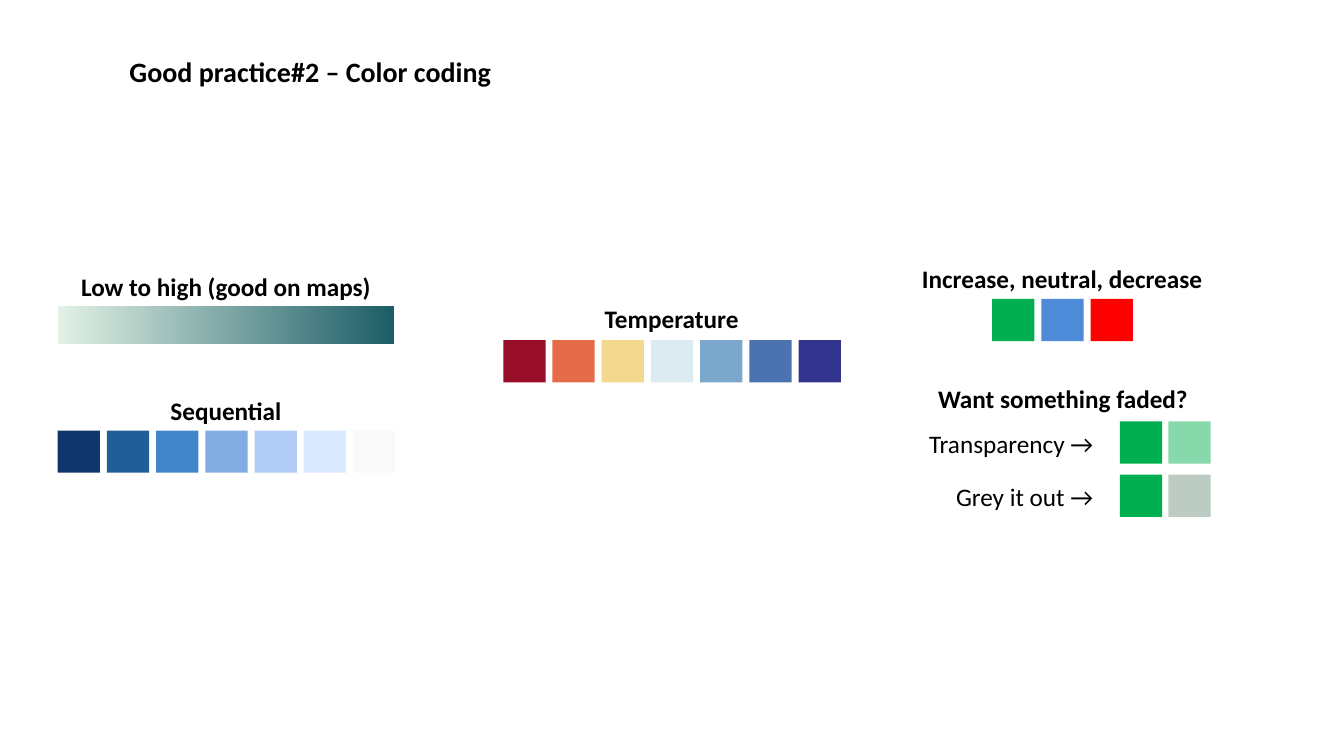
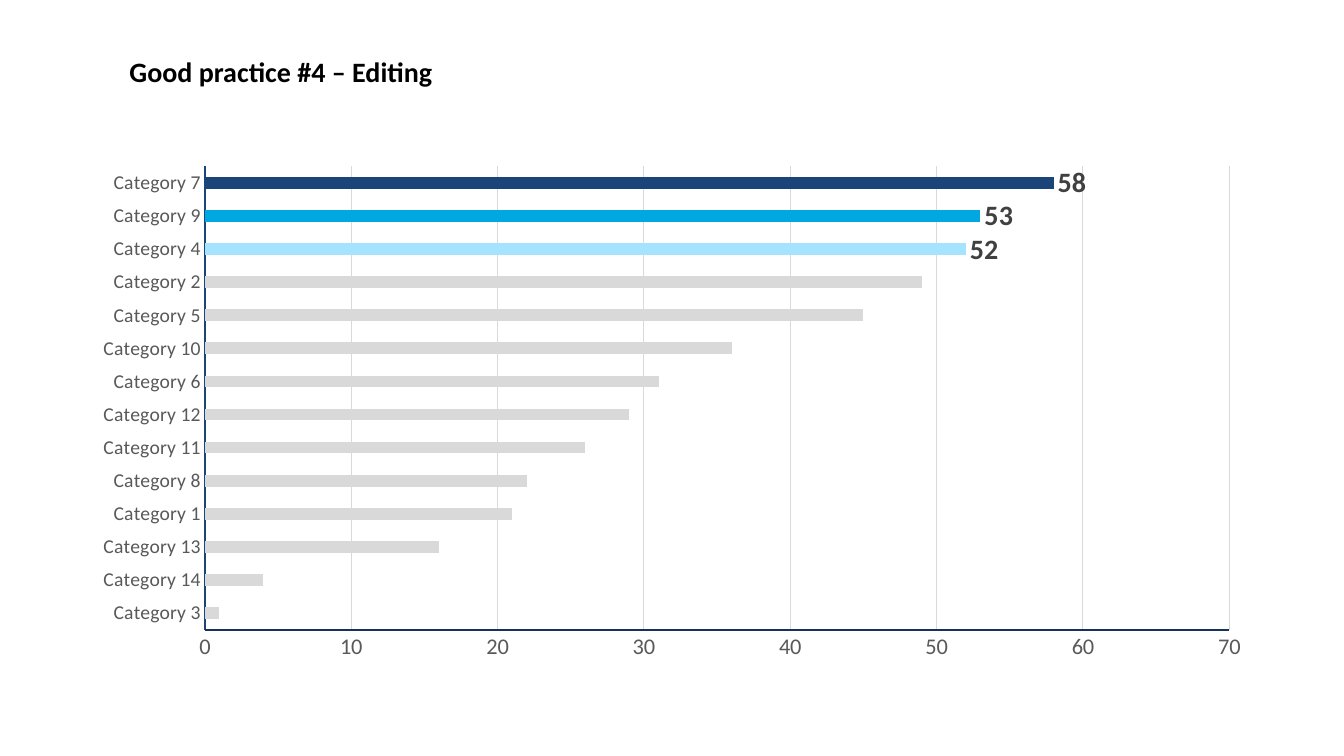
from lxml import etree
from pptx import Presentation
from pptx.chart.data import CategoryChartData
from pptx.dml.color import RGBColor
from pptx.enum import chart as charts, shapes, text
from pptx.oxml import ns
from pptx.util import Pt

FONT = "Calibri"
BLACK = RGBColor(0x00, 0x00, 0x00)
GREEN = RGBColor(0x00, 0xB0, 0x50)
GREYED_GREEN = RGBColor(0xBC, 0xCC, 0xC2)
MAP_LOW = RGBColor(0xE2, 0xF2, 0xE6)
MAP_HIGH = RGBColor(0x1C, 0x5D, 0x66)
AXIS_TEXT = RGBColor(0x59, 0x59, 0x59)
LABEL_TEXT = RGBColor(0x40, 0x40, 0x40)
LIGHT_GREY = RGBColor(0xD9, 0xD9, 0xD9)
NAVY = RGBColor(0x1B, 0x44, 0x79)
VALUE_AXIS = RGBColor(0x14, 0x32, 0x5A)
BRIGHT_BLUE = RGBColor(0x00, 0xA7, 0xE1)
PALE_BLUE = RGBColor(0xA6, 0xE3, 0xFF)
SEQUENTIAL = [RGBColor.from_string(code) for code in
              "11366B 205D99 4186C9 81ABE1 B1CCF5 DAE9FF F9F9F9".split()]
TEMPERATURE = [RGBColor.from_string(code) for code in
               "980D27 E56C49 F2D98D DCEAF1 7BA7CC 4B73AF 33348E".split()]
CHANGE = [GREEN, RGBColor(0x4D, 0x8A, 0xD7), RGBColor(0xFF, 0x00, 0x00)]

SWATCH = 30.2
PITCH = 35.15
PANEL_WIDTH = 240.5
CAPTION_HEIGHT = 29


def write(box, words, size=18, bold=False, align=text.PP_ALIGN.CENTER,
          anchor=text.MSO_ANCHOR.TOP, line_spacing=None):
    frame = box.text_frame
    frame.word_wrap = True
    frame.vertical_anchor = anchor
    para = frame.paragraphs[0]
    para.alignment = align
    para.line_spacing = line_spacing
    span = para.add_run()
    span.text = words
    span.font.name = FONT
    span.font.size = Pt(size)
    span.font.bold = bold
    span.font.color.rgb = BLACK


def draw_block(parent, left, top, width=SWATCH, height=SWATCH, colour=GREEN):
    block = parent.shapes.add_shape(shapes.MSO_SHAPE.RECTANGLE,
                                    Pt(left), Pt(top), Pt(width), Pt(height))
    block.shadow.inherit = False
    block.line.fill.background()
    block.fill.solid()
    block.fill.fore_color.rgb = colour
    return block


deck = Presentation()
deck.slide_width, deck.slide_height = Pt(960), Pt(540)
layout = deck.slide_layouts.get_by_name("Title Only")

# Shared title place
title_place = layout.placeholders[0]
title_place.left, title_place.top = Pt(92.5), Pt(39)
title_place.width, title_place.height = Pt(319), Pt(27)
title_frame = title_place.text_frame
title_frame.margin_left = title_frame.margin_right = 0
title_frame.margin_top = title_frame.margin_bottom = 0

pages = []
for heading in ("Good practice#2 – Color coding", "Good practice #4 – Editing"):
    page = deck.slides.add_slide(layout)
    write(page.shapes.title, heading, size=20, bold=True,
          align=text.PP_ALIGN.LEFT, anchor=text.MSO_ANCHOR.MIDDLE, line_spacing=0.9)
    pages.append(page)
colour_page, chart_page = pages

# Colour panels: caption, left, top, swatch left, swatch top, colours
panels = [
    ("Low to high (good on maps)", 41.2, 190, 41.2, 218.5, []),
    ("Sequential", 41.2, 279, 41.2, 307.5, SEQUENTIAL),
    ("Temperature", 359.5, 213, 359.5, 243, TEMPERATURE),
    ("Increase, neutral, decrease", 638.5, 184.5, 708.7, 213.5, CHANGE),
    ("Want something faded?", 639, 270.5, 800, 301, []),
]
groups = {}
for caption, left, top, swatch_left, swatch_top, colours in panels:
    group = groups[caption] = colour_page.shapes.add_group_shape()
    box = group.shapes.add_textbox(Pt(left), Pt(top), Pt(PANEL_WIDTH), Pt(CAPTION_HEIGHT))
    write(box, caption, bold=True)
    for column, colour in enumerate(colours):
        draw_block(group, swatch_left + column * PITCH, swatch_top, colour=colour)

ramp = draw_block(groups["Low to high (good on maps)"], 41.2, 218.5, PANEL_WIDTH, 27.3)
ramp.fill.gradient()
ramp.fill.gradient_angle = 0
for stop, colour in zip(ramp.fill.gradient_stops, (MAP_LOW, MAP_HIGH)):
    stop.color.rgb = colour

# Two ways of fading: label, faded colour, opacity in percent
fades = [("Transparency →", GREEN, 47), ("Grey it out →", GREYED_GREEN, 100)]
faded_group = groups["Want something faded?"]
for row, (label, colour, opacity) in enumerate(fades):
    top = 301 + row * 38
    box = faded_group.shapes.add_textbox(Pt(638), Pt(top + 1.5), Pt(150), Pt(CAPTION_HEIGHT))
    write(box, label, align=text.PP_ALIGN.RIGHT)
    draw_block(faded_group, 800, top)
    faded = draw_block(faded_group, 800 + PITCH - 0.6, top, colour=colour)
    if opacity < 100:
        fill_colour = next(faded.element.iter(ns.qn("a:srgbClr")))
        etree.SubElement(fill_colour, ns.qn("a:alpha"), val=str(opacity * 1000))

# Bar chart with the three leaders picked out
data = CategoryChartData()
data.categories = [f"Category {number}" for number in
                   (3, 14, 13, 1, 8, 11, 12, 6, 10, 5, 2, 4, 9, 7)]
data.add_series("Series 1", (1, 4, 16, 21, 22, 26, 29, 31, 36, 45, 49, 52, 53, 58))
chart = chart_page.shapes.add_chart(charts.XL_CHART_TYPE.BAR_CLUSTERED,
                                    Pt(57), Pt(111.5), Pt(846), Pt(368), data).chart
chart.has_title = False
chart.has_legend = False
chart.font.name = FONT
chart.font.size = Pt(10)
chart.font.color.rgb = BLACK

for axis, size, colour in ((chart.category_axis, 14, NAVY), (chart.value_axis, 16, VALUE_AXIS)):
    axis.major_tick_mark = axis.minor_tick_mark = charts.XL_TICK_MARK.NONE
    axis.tick_labels.font.name = FONT
    axis.tick_labels.font.size = Pt(size)
    axis.tick_labels.font.color.rgb = AXIS_TEXT
    axis.format.line.color.rgb = colour
    axis.format.line.width = Pt(1.25)
chart.category_axis.has_major_gridlines = False
value_axis = chart.value_axis
value_axis.minimum_scale, value_axis.maximum_scale, value_axis.major_unit = 0, 70, 10
value_axis.major_gridlines.format.line.color.rgb = LIGHT_GREY
value_axis.major_gridlines.format.line.width = Pt(0.75)

plot = chart.plots[0]
plot.gap_width = 182
plot.vary_by_categories = False
bars = plot.series[0]
bars.format.fill.solid()
bars.format.fill.fore_color.rgb = LIGHT_GREY
for index, colour in enumerate((PALE_BLUE, BRIGHT_BLUE, NAVY), start=11):
    leader = bars.points[index]
    leader.format.fill.solid()
    leader.format.fill.fore_color.rgb = colour
    label = leader.data_label
    label.font.name = FONT
    label.font.size = Pt(20)
    label.font.bold = True
    label.font.color.rgb = LABEL_TEXT
    label.position = charts.XL_LABEL_POSITION.OUTSIDE_END

deck.save("out.pptx")
